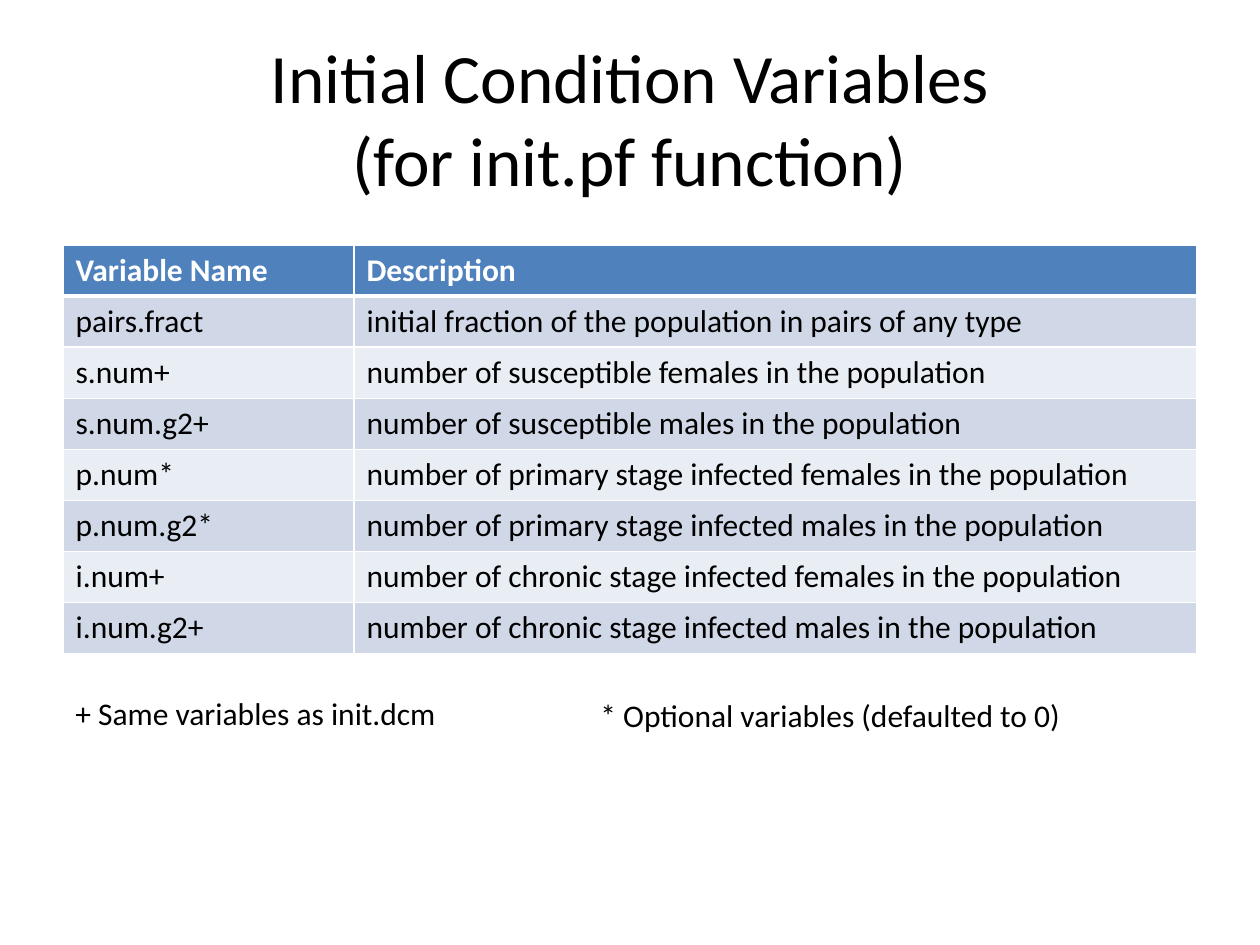
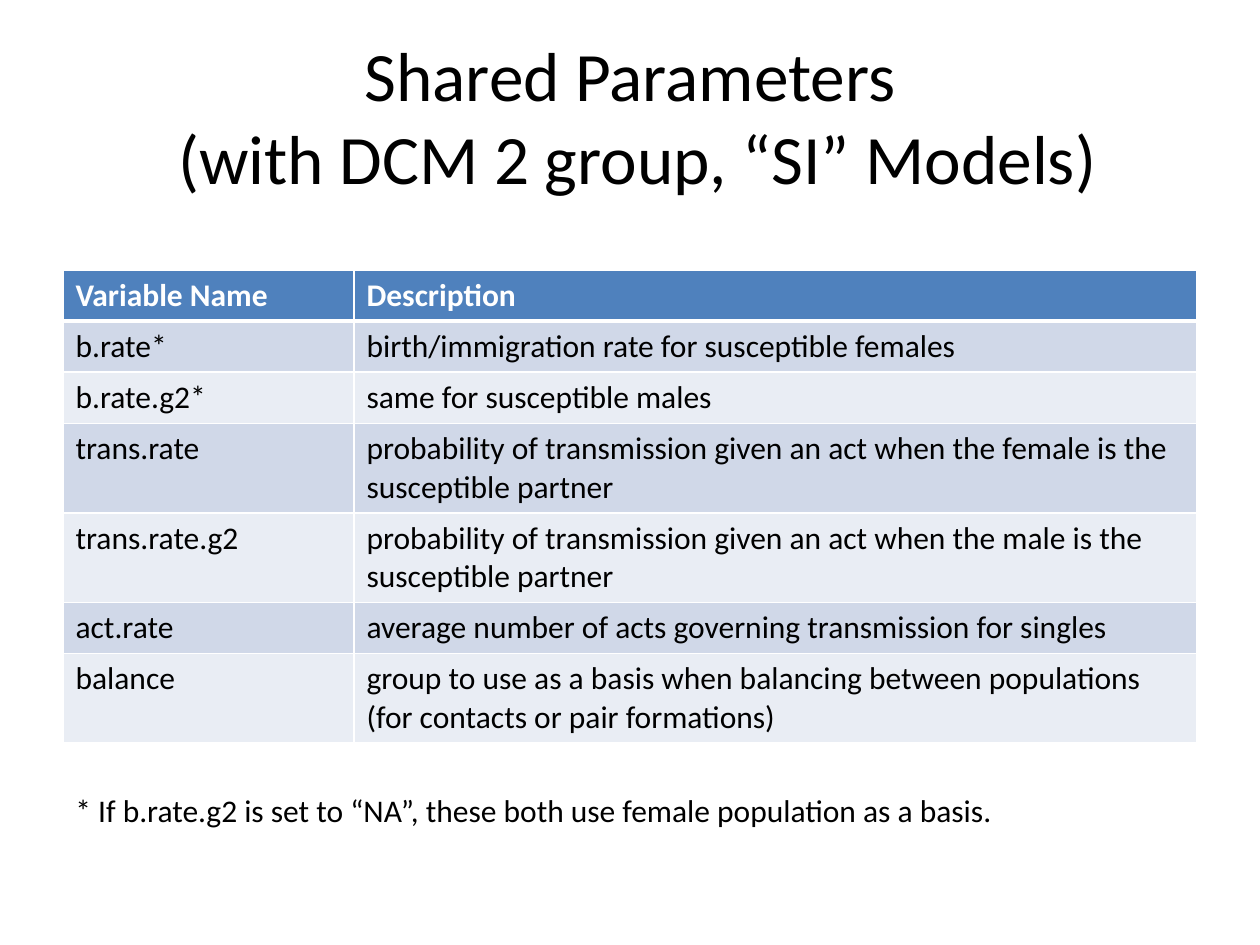
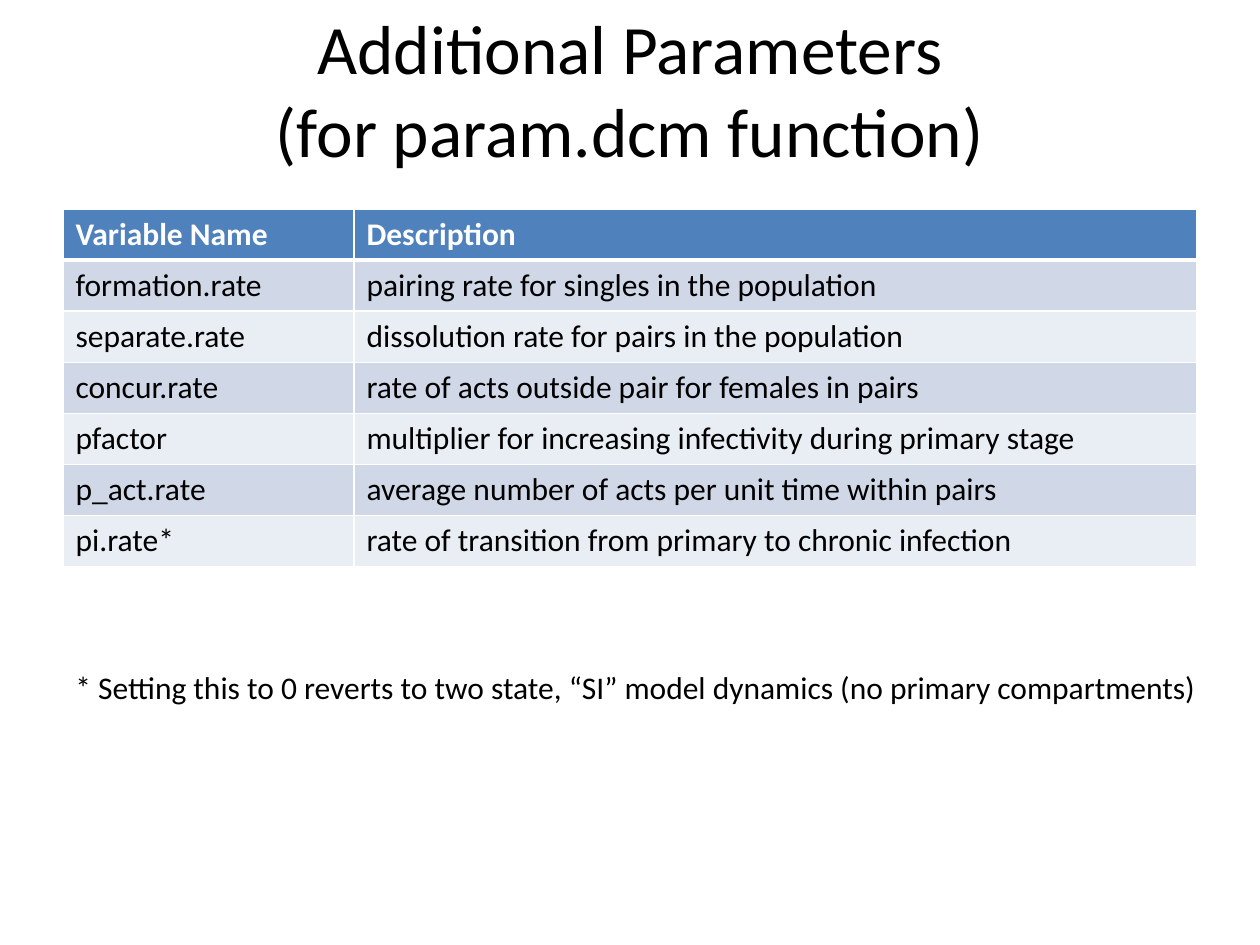
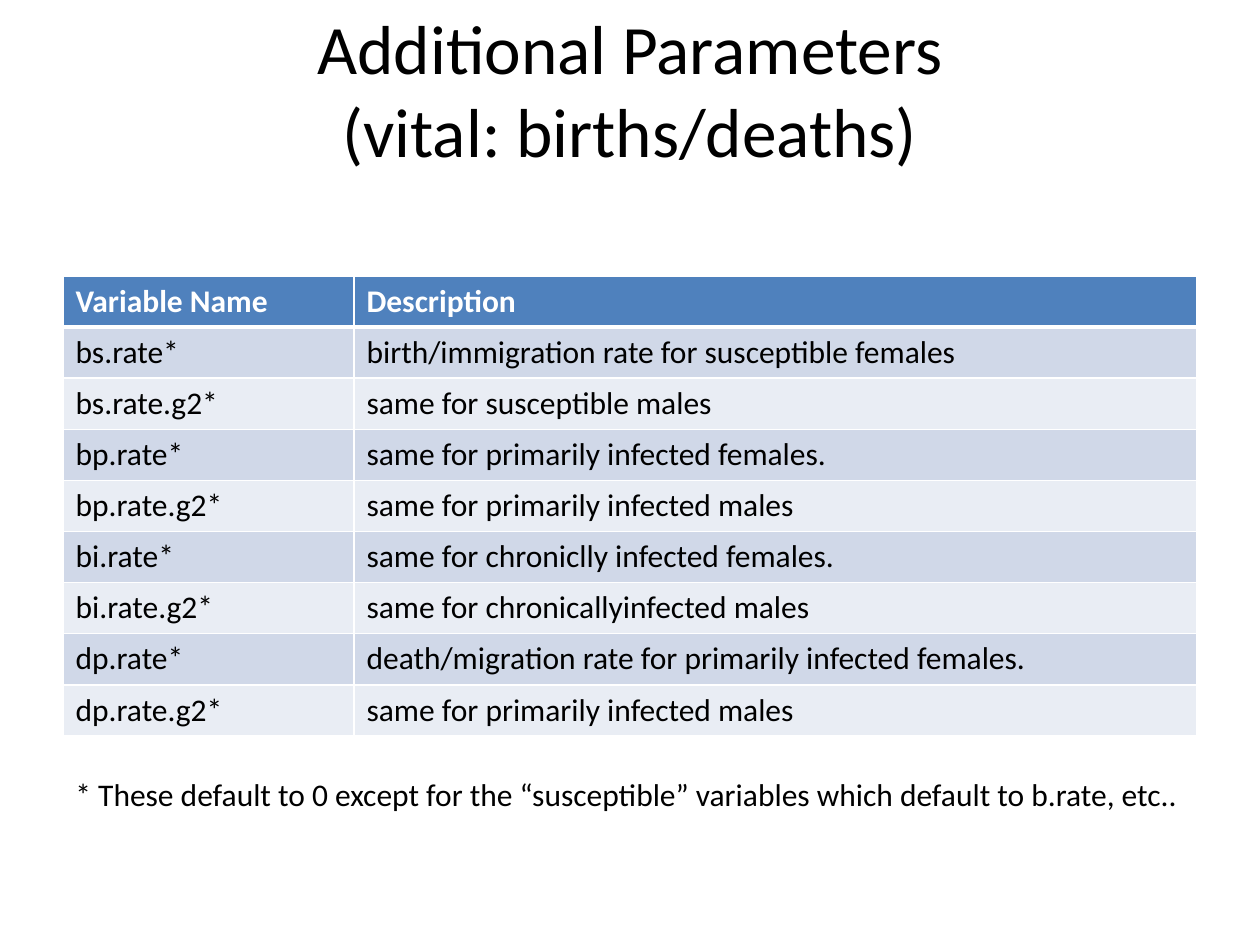
from lxml.etree import SubElement
from pptx import Presentation
from pptx.dml.color import RGBColor
from pptx.enum.text import MSO_ANCHOR, MSO_AUTO_SIZE, PP_ALIGN
from pptx.oxml.ns import qn
from pptx.util import Emu, Pt

# Shared look; lengths are px at 126 to the inch
SCALE = 914400 / 126
FONT = "Calibri"
BLACK, WHITE, HEADER = "000000", "FFFFFF", "4F81BD"
BANDS = ["D0D8E8", "E9EDF4"]
TITLE_SIZE, BODY_SIZE = 39.6, 18
LEFT, TITLE_TOP, WIDTH = 63, 38, 1134
COLUMNS = [291, 843]
ROW_HEIGHT, NOTE_HEIGHT = 51, 50
HEADINGS = ("Variable Name", "Description")


def px(*lengths):
    return [Emu(round(n * SCALE)) for n in lengths]


def put(tf, text, size=BODY_SIZE, color=BLACK, bold=False, align=PP_ALIGN.LEFT):
    p = tf.paragraphs[0]
    p.alignment = align
    for i, line in enumerate(text.split("\n")):
        if i:
            p.add_line_break()
        r = p.add_run()
        r.text = line
        r.font.name, r.font.size, r.font.bold = FONT, Pt(size), bold
        r.font.color.rgb = RGBColor.from_string(color)


# Each slide: title, title height, table top, rows, notes (left, top, width, text)
slides = [
    ("Initial Condition Variables\n(for init.pf function)", 158, 245, [
        ("pairs.fract", "initial fraction of the population in pairs of any type"),
        ("s.num+", "number of susceptible females in the population"),
        ("s.num.g2+", "number of susceptible males in the population"),
        ("p.num*", "number of primary stage infected females in the population"),
        ("p.num.g2*", "number of primary stage infected males in the population"),
        ("i.num+", "number of chronic stage infected females in the population"),
        ("i.num.g2+", "number of chronic stage infected males in the population"),
    ], [
        (588, 690, 500, "* Optional variables (defaulted to 0)"),
        (LEFT, 688, 389, "+ Same variables as init.dcm"),
    ]),
    ("Shared Parameters\n (with DCM 2 group, “SI” Models)", 154, 270, [
        ("b.rate*", "birth/immigration rate for susceptible females"),
        ("b.rate.g2*", "same for susceptible males"),
        ("trans.rate", "probability of transmission given an act when the female is the "
                       "susceptible partner"),
        ("trans.rate.g2", "probability of transmission given an act when the male is the "
                          "susceptible partner"),
        ("act.rate", "average number of acts governing transmission for singles"),
        ("balance", "group to use as a basis when balancing between populations "
                    "(for contacts or pair formations)"),
    ], [
        (LEFT, 785, 959, "* If b.rate.g2 is set to “NA”, these both use female population "
                         "as a basis."),
    ]),
    ("Additional Parameters\n(for param.dcm function)", 101, 209, [
        ("formation.rate", "pairing rate for singles in the population"),
        ("separate.rate", "dissolution rate for pairs in the population"),
        ("concur.rate", "rate of acts outside pair for females in pairs"),
        ("pfactor", "multiplier for increasing infectivity during primary stage"),
        ("p_act.rate", "average number of acts per unit time within pairs"),
        ("pi.rate*", "rate of transition from primary to chronic infection"),
    ], [
        (LEFT, 662, 1160, "* Setting this to 0 reverts to two state, “SI” model dynamics "
                          "(no primary compartments)"),
    ]),
    ("Additional Parameters\n(vital: births/deaths)", 101, 276, [
        ("bs.rate*", "birth/immigration rate for susceptible females"),
        ("bs.rate.g2*", "same for susceptible males"),
        ("bp.rate*", "same for primarily infected females."),
        ("bp.rate.g2*", "same for primarily infected males"),
        ("bi.rate*", "same for chroniclly infected females."),
        ("bi.rate.g2*", "same for chronicallyinfected males"),
        ("dp.rate*", "death/migration rate for primarily infected females."),
        ("dp.rate.g2*", "same for primarily infected males"),
    ], [
        (LEFT, 769, 1138, "* These default to 0 except for the “susceptible” variables "
                          "which default to b.rate, etc.."),
    ]),
]

prs = Presentation()
prs.slide_width, prs.slide_height = px(1260, 945)

# Title size on the master, so that line breaks follow it too
for style in prs.slide_master.element.iter(qn("p:titleStyle")):
    for font in style.iter(qn("a:defRPr")):
        font.set("sz", str(round(TITLE_SIZE * 100)))

for title, title_height, table_top, rows, notes in slides:
    s = prs.slides.add_slide(prs.slide_layouts[5])

    # Title
    sp = s.shapes.title
    sp.left, sp.top, sp.width, sp.height = px(LEFT, TITLE_TOP, WIDTH, title_height)
    tf = sp.text_frame
    tf.auto_size = MSO_AUTO_SIZE.NONE
    tf.vertical_anchor = MSO_ANCHOR.MIDDLE
    put(tf, title, size=TITLE_SIZE, align=PP_ALIGN.CENTER)

    # Variable table
    cells = [HEADINGS] + rows
    table = s.shapes.add_table(len(cells), len(COLUMNS), *px(
        LEFT, table_top, WIDTH, ROW_HEIGHT * len(cells))).table
    for column, width in zip(table.columns, px(*COLUMNS)):
        column.width = width
    for i, row in enumerate(cells):
        header = i == 0
        for j, text in enumerate(row):
            cell = table.cell(i, j)
            put(cell.text_frame, text, color=WHITE if header else BLACK, bold=header)

            # White cell borders come before the fill in the cell properties
            tcPr = cell._tc.get_or_add_tcPr()
            for side in ("lnL", "lnR", "lnT", "lnB"):
                thick = (header and side == "lnB") or (i == 1 and side == "lnT")
                ln = SubElement(tcPr, qn("a:" + side), w=str(Pt(3 if thick else 1)))
                SubElement(SubElement(ln, qn("a:solidFill")), qn("a:srgbClr"), val=WHITE)
            cell.fill.solid()
            cell.fill.fore_color.rgb = RGBColor.from_string(
                HEADER if header else BANDS[(i - 1) % 2])

    # Footnotes
    for left, top, width, text in notes:
        tf = s.shapes.add_textbox(*px(left, top, width, NOTE_HEIGHT)).text_frame
        tf.word_wrap = False
        tf.auto_size = MSO_AUTO_SIZE.SHAPE_TO_FIT_TEXT
        put(tf, text)

prs.save("out.pptx")
